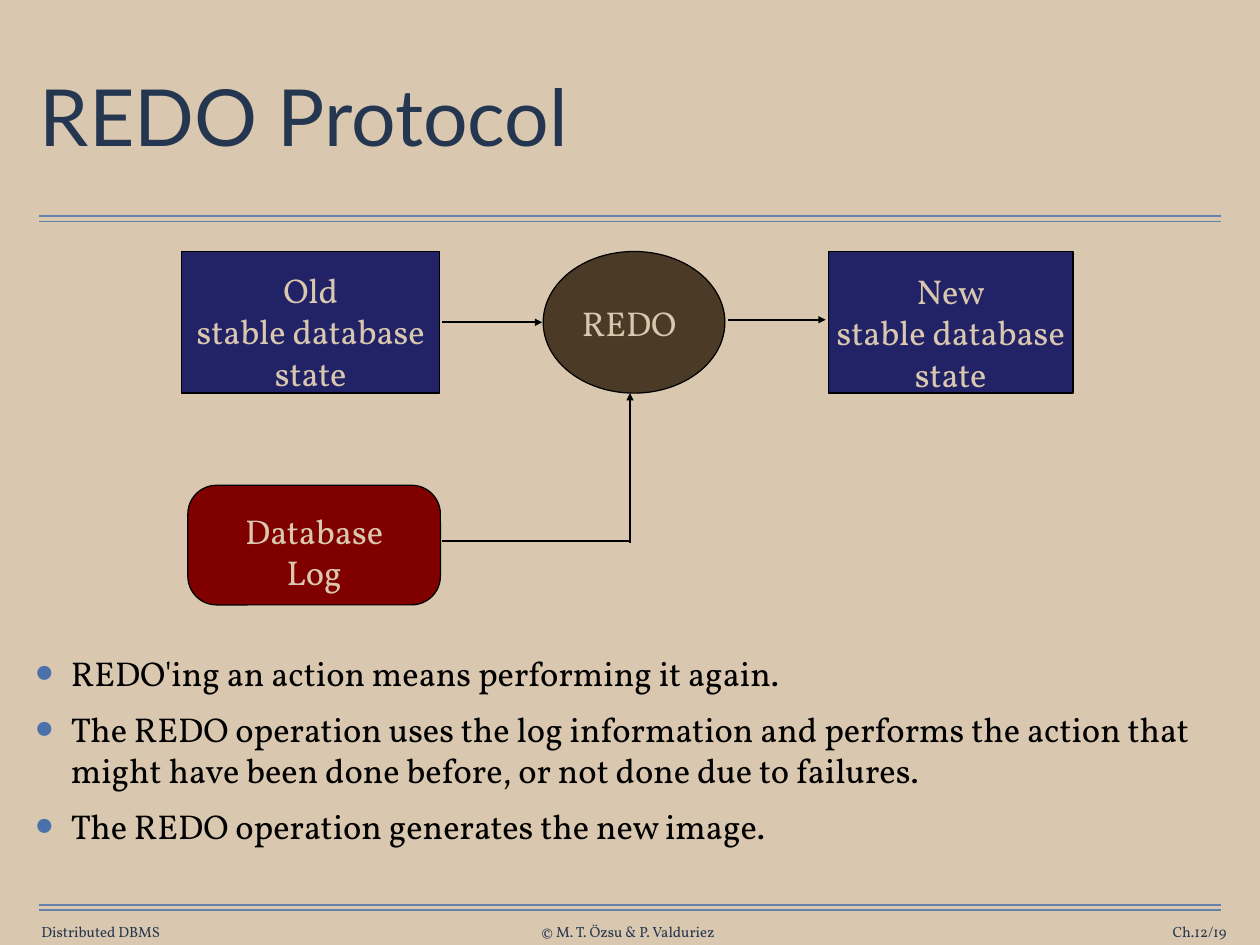
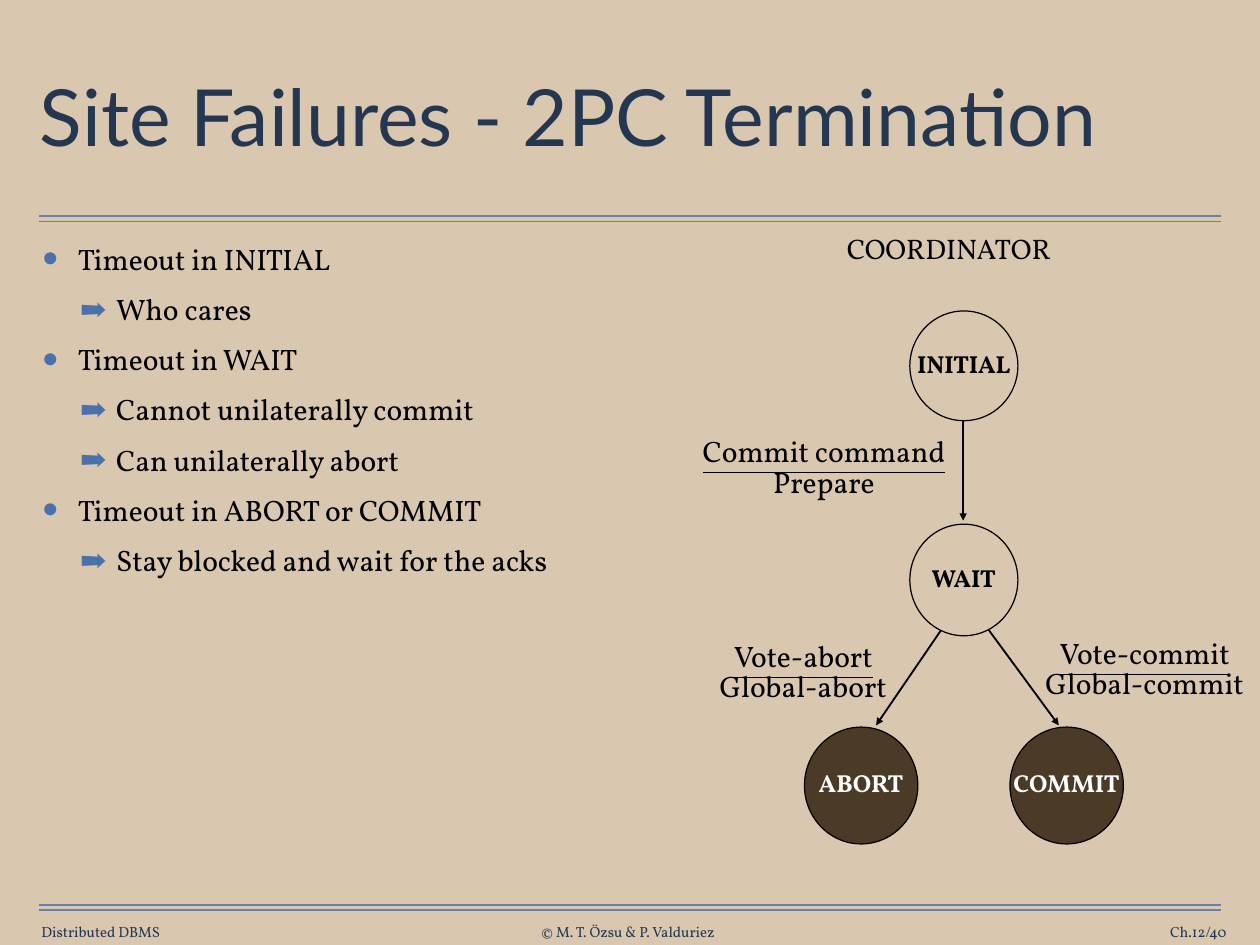
from pptx import Presentation
from pptx.dml.color import RGBColor
from pptx.enum.shapes import MSO_CONNECTOR, MSO_SHAPE
from pptx.enum.text import MSO_ANCHOR, MSO_AUTO_SIZE, PP_ALIGN
from pptx.oxml.ns import qn
from pptx.util import Emu, Inches, Pt
from lxml import etree

LEFT, CENTER, RIGHT = PP_ALIGN.LEFT, PP_ALIGN.CENTER, PP_ALIGN.RIGHT
TOP, MIDDLE = MSO_ANCHOR.TOP, MSO_ANCHOR.MIDDLE
RECT, ROUNDED, OVAL = MSO_SHAPE.RECTANGLE, MSO_SHAPE.ROUNDED_RECTANGLE, MSO_SHAPE.OVAL

COLORS = {
    "sand": "D9C8AF", "title": "253750", "footer": "263750", "rule": "6682AA",
    "bullet": "4A71A9", "navy": "222267", "maroon": "800000", "brown": "4A3A26",
    "black": "000000", "white": "FFFFFF",
}
TITLE_FONT, TEXT_FONT = "Lato", "Vollkorn"

# The slide is a grid of 64 columns by 48 rows of square cells
SLIDE_W, SLIDE_H = Inches(14.22), Inches(10.67)
CELL = SLIDE_W / 64
PAD = 0.27
BULLETS = [("•", 150, 0.4), ("➡", 85, 0.83)]  # char, size %, indent in inches


def cells(*counts):
    return [Emu(round(n * CELL)) for n in counts]


def rgb(name):
    return RGBColor.from_string(COLORS[name])


def write(tf, text, size=28, color="black", font=TEXT_FONT, bold=False,
          underline=False, align=CENTER, anchor=MIDDLE, wrap=False,
          margins=(0, 0, 0, 0), spacing=None):
    """Fill a text frame, one paragraph per line; margins are left, top, right, bottom."""
    tf.auto_size = MSO_AUTO_SIZE.NONE
    tf.word_wrap = wrap
    tf.vertical_anchor = anchor
    tf.margin_left, tf.margin_top, tf.margin_right, tf.margin_bottom = cells(*margins)
    for i, line in enumerate(text.split("\n")):
        p = tf.paragraphs[0] if i == 0 else tf.add_paragraph()
        p.alignment = align
        p.line_spacing = spacing
        r = p.add_run()
        r.text = line
        r.font.name, r.font.size = font, Pt(size)
        r.font.bold, r.font.underline = bold, underline
        r.font.color.rgb = rgb(color)


def add_text(s, text, x, y, w, h, **fmt):
    write(s.shapes.add_textbox(*cells(x, y, w, h)).text_frame, text, **fmt)


def add_node(s, kind, text, x, y, w, h, fill, drop=0, shift=0, **fmt):
    """Add a labelled shape, its label moved down by drop and left by shift."""
    sp = s.shapes.add_shape(kind, *cells(x, y, w, h))
    sp.shadow.inherit = False
    sp.fill.solid()
    sp.fill.fore_color.rgb = rgb(fill)
    sp.line.color.rgb = rgb("black")
    sp.line.width = Pt(1)
    margins = (0, max(2 * drop, 0), 2 * shift, max(-2 * drop, 0))
    write(sp.text_frame, text, margins=margins, **fmt)
    return sp


def add_line(s, x1, y1, x2, y2, color="black", width=1.5, arrow=True):
    c = s.shapes.add_connector(MSO_CONNECTOR.STRAIGHT, *cells(x1, y1, x2, y2))
    c.line.color.rgb = rgb(color)
    c.line.width = Pt(width)
    sp_pr = c._element.spPr
    if arrow:
        etree.SubElement(sp_pr.find(qn("a:ln")), qn("a:tailEnd"), type="triangle")
    etree.SubElement(sp_pr, qn("a:effectLst"))


def place(sp, x, y, w, h):
    sp.left, sp.top, sp.width, sp.height = cells(x, y, w, h)


def set_bullet(p, level):
    char, percent, indent = BULLETS[level]
    p.level = level
    p_pr = p._p.get_or_add_pPr()
    p_pr.set("marL", str(Inches(indent)))
    p_pr.set("indent", str(-Inches(0.4)))
    color = etree.SubElement(p_pr, qn("a:buClr"))
    etree.SubElement(color, qn("a:srgbClr"), val=COLORS["bullet"])
    etree.SubElement(p_pr, qn("a:buSzPct"), val=str(percent * 1000))
    etree.SubElement(p_pr, qn("a:buChar"), char=char)


def add_slide(prs, title, page):
    """Add a slide with its title, double rules and footer."""
    s = prs.slides.add_slide(prs.slide_layouts[1])
    place(s.shapes.title, 1.76, 2.2, 60.48, 7.92)
    write(s.shapes.title.text_frame, title, size=64, color="title", font=TITLE_FONT,
          align=LEFT, wrap=True, margins=(PAD,) * 4, spacing=0.9)
    for row in (10.98, 45.99):
        for y in (row, row + 0.26):
            add_line(s, 2, y, 62, y, color="rule", width=1, arrow=False)
    footer = [("Distributed DBMS", 2.1, LEFT),
              ("© M. T. Özsu & P. Valduriez", 21.9, CENTER),
              (f"Ch.12/{page}", 42.3, RIGHT)]
    for text, x, align in footer:
        add_text(s, text, x, 46.87, 20, 0.9, size=12, color="footer", align=align)
    return s


def fill_body(s, items, x, y, w, h, size):
    """Fill the body placeholder with (level, text) items."""
    body = s.placeholders[1]
    place(body, x, y, w, h)
    tf = body.text_frame
    write(tf, "\n".join(text for _, text in items), size=size, align=LEFT,
          anchor=TOP, wrap=True, margins=(PAD,) * 4)
    for i, (p, (level, _)) in enumerate(zip(tf.paragraphs, items)):
        set_bullet(p, level)
        p.space_before = Pt(12 if i else 0)


def add_state(s, text, cx, y, w, h, fill="sand", color="black"):
    add_node(s, OVAL, text, cx - w / 2, y, w, h, fill, drop=-0.13,
             size=20, bold=True, color=color)


def add_transition(s, event, action, cx, y):
    """Label an arrow with the underlined event above the action."""
    w, h, step = 11.5, 2.43, 1.55
    add_text(s, event, cx - w / 2, y, w, h, size=24, underline=True)
    add_text(s, action, cx - w / 2, y + step, w, h, size=24)


def build_redo(prs):
    s = add_slide(prs, "REDO Protocol", 19)
    fill_body(s, [
        (0, "REDO'ing an action means performing it again."),
        (0, "The REDO operation uses the log information and performs the action "
            "that might have been done before, or not done due to failures."),
        (0, "The REDO operation generates the new image."),
    ], 1.53, 32.85, 60.48, 11.39, size=28)

    row, height = 12.78, 7.2
    mid = row + height / 2
    add_node(s, RECT, "Old\nstable database\nstate", 9.23, row, 13.1, height,
             "navy", drop=0.45, color="sand")
    add_node(s, OVAL, "REDO", 27.59, row, 9.23, height, "brown", shift=0.25, color="sand")
    add_node(s, RECT, "New\nstable database\nstate", 42.08, row, 12.42, height,
             "navy", drop=0.5, color="sand")
    log = add_node(s, ROUNDED, "Database\nLog", 9.54, 24.66, 12.83, 6.08,
                   "maroon", drop=0.3, color="sand")
    log.adjustments[0] = 0.24

    add_line(s, 22.46, mid, 27.54, mid)
    add_line(s, 36.99, mid - 0.13, 41.94, mid - 0.13)
    add_line(s, 22.46, 27.5, 32.04, 27.5, arrow=False)
    add_line(s, 32, 27.58, 32, row + height)


def build_termination(prs):
    s = add_slide(prs, "Site Failures - 2PC Termination", 40)
    fill_body(s, [
        (0, "Timeout in INITIAL"),
        (1, "Who cares"),
        (0, "Timeout in WAIT"),
        (1, "Cannot unilaterally commit"),
        (1, "Can unilaterally abort"),
        (0, "Timeout in ABORT or COMMIT"),
        (1, "Stay blocked and wait for the acks"),
    ], 1.89, 11.97, 28.71, 33.3, size=24)

    axis, spread = 48.96, 5.22
    add_text(s, "COORDINATOR", axis - 6.75, 11.39, 12, 2.4, size=23)
    add_line(s, axis - 0.04, 21.38, axis - 0.04, 26.46)
    add_line(s, 47.79, 32.04, 44.5, 36.86)
    add_line(s, 50.08, 31.82, 53.78, 36.86)

    add_state(s, "INITIAL", axis, 15.8, 5.49, 5.58)
    add_state(s, "WAIT", axis, 26.64, 5.49, 5.67)
    for text, cx in (("ABORT", axis - spread), ("COMMIT", axis + spread)):
        add_state(s, text, cx, 36.95, 5.76, 5.94, fill="brown", color="white")

    add_transition(s, "Commit command", "Prepare", 41.85, 21.69)
    add_transition(s, "Vote-abort", "Global-abort", 40.8, 32.09)
    add_transition(s, "Vote-commit", "Global-commit", 58.14, 31.95)


def main():
    prs = Presentation()
    prs.slide_width, prs.slide_height = SLIDE_W, SLIDE_H
    background = prs.slide_master.background.fill
    background.solid()
    background.fore_color.rgb = rgb("sand")
    build_redo(prs)
    build_termination(prs)
    prs.save("out.pptx")


if __name__ == "__main__":
    main()
